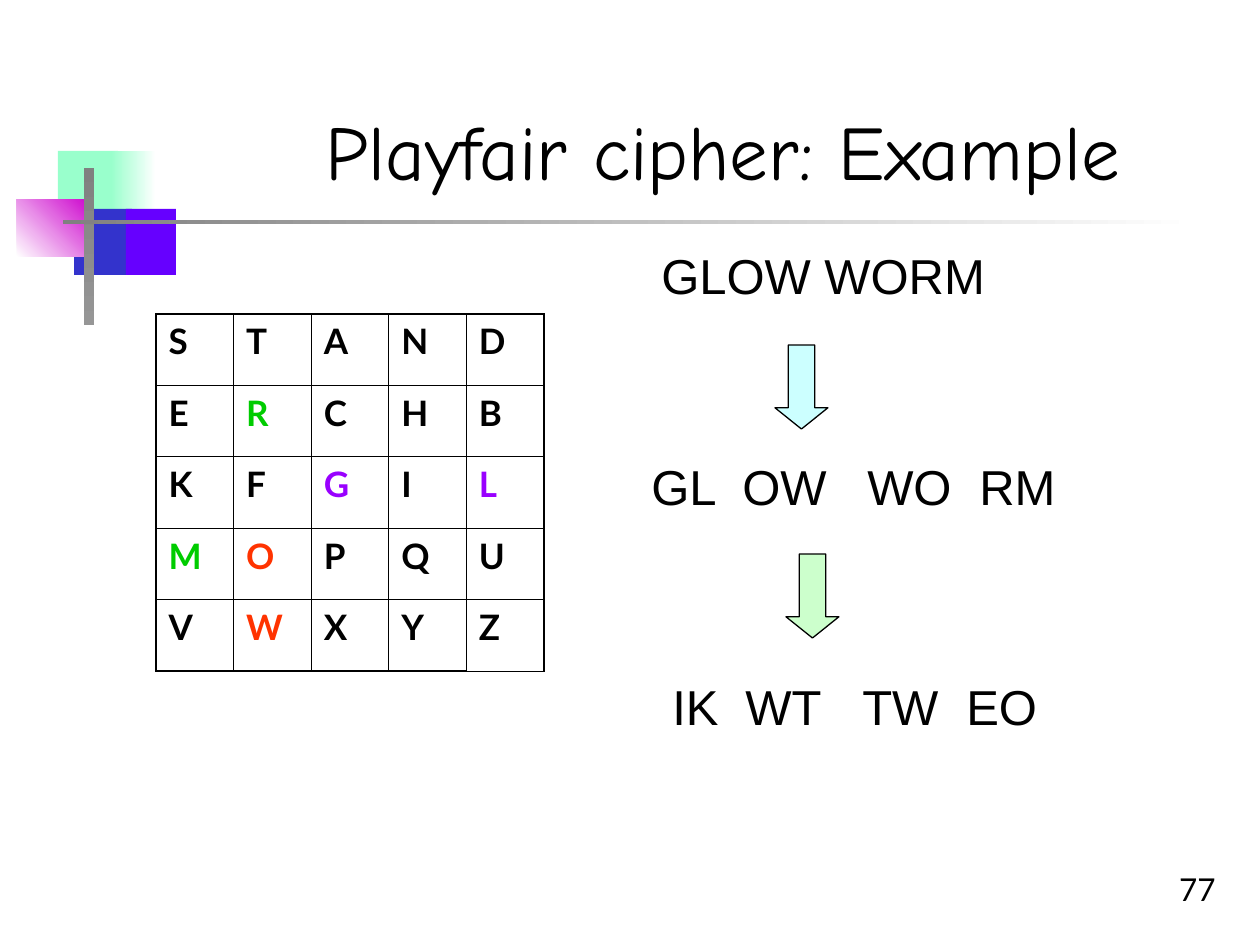
import pptx
import pptx.util
import pptx.dml.color
import pptx.enum.shapes
import pptx.enum.text
import pptx.oxml
import pptx.oxml.ns

SCALE = 914400 / 126  # EMU in one px
THEME = {
    "ink": "000000", "mint": "99FFCC", "white": "FFFFFF", "blue": "3333CC",
    "violet": "6600FF", "pink": "CC00CC", "gray": "808080", "ash": "969696",
    "aqua": "CCFFFF", "lime": "CCFFCC",
    "green": "00CC00", "purple": "9900FF", "red": "FF3300",
    "title": {"name": "Comic Neue", "size": pptx.util.Pt(44)},
    "body": {"name": "Arial", "size": pptx.util.Pt(28)},
    "key": {"name": "Lato", "size": pptx.util.Pt(20), "bold": True},
    "page": {"name": "Lato", "size": pptx.util.Pt(18)},
}
RGB = pptx.dml.color.RGBColor.from_string
ALIGN = pptx.enum.text.PP_ALIGN
ANCHOR = pptx.enum.text.MSO_ANCHOR
KIND = pptx.enum.shapes.MSO_SHAPE


def emu(*sizes):
    return [round(size * SCALE) for size in sizes]


def style(para, look, color="ink"):
    for name, value in THEME[look].items():
        setattr(para.font, name, value)
    para.font.color.rgb = RGB(THEME[color])


deck = pptx.Presentation()
deck.slide_width, deck.slide_height = emu(1260, 945)
slide = deck.slides.add_slide(deck.slide_layouts[6])
shapes = slide.shapes

# Corner ornament and rule: box, gradient ends, counter-clockwise angle
for box, tones, angle in [
    ((58, 151, 60, 66), ["mint"], 0),
    ((111, 151, 45, 66), ["mint", "white"], 0),
    ((74, 209, 58, 66), ["blue"], 0),
    ((126, 209, 50, 66), ["violet"], 0),
    ((17, 199, 77, 58), ["white", "pink"], 45),
    ((84, 168, 10, 157), ["gray", "ash"], 270),
    ((63, 220, 1134, 4), ["gray", "white"], 0),
]:
    block = shapes.add_shape(KIND.RECTANGLE, *emu(*box))
    block.shadow.inherit = False
    block.line.fill.background()
    if len(tones) == 1:
        block.fill.solid()
        block.fill.fore_color.rgb = RGB(THEME[tones[0]])
    else:
        block.fill.gradient()
        block.fill.gradient_angle = angle
        for stop, tone in zip(block.fill.gradient_stops, tones):
            stop.color.rgb = RGB(THEME[tone])

# Texts: box, wording, look, alignment, anchor, space before, tab stops
for box, words, look, align, anchor, gap, tabs in [
    ((966, 851, 262, 63), "77", "page", ALIGN.RIGHT, ANCHOR.BOTTOM, 0, []),
    ((186, 42, 1074, 160), "Playfair cipher: Example", "title",
     ALIGN.CENTER, ANCHOR.BOTTOM, 0, []),
    ((649, 239, 368, 72), "GLOW WORM", "body", ALIGN.LEFT, ANCHOR.TOP, 17.5, []),
    ((639, 450, 441, 72), "GL\tOW\tWO\tRM", "body",
     ALIGN.LEFT, ANCHOR.TOP, 17.5, [91, 216, 328]),
    ((660, 670, 441, 72), "IK\tWT\tTW\tEO", "body",
     ALIGN.LEFT, ANCHOR.TOP, 17.5, [73, 190, 294]),
]:
    frame = shapes.add_textbox(*emu(*box)).text_frame
    frame.word_wrap = True
    frame.vertical_anchor = anchor
    para = frame.paragraphs[0]
    para.add_run().text = words
    para.alignment = align
    para.space_before = pptx.util.Pt(gap)
    style(para, look)
    if tabs:
        stops = "".join(f'<a:tab pos="{pos}" algn="l"/>' for pos in emu(*tabs))
        tablist = pptx.oxml.parse_xml(
            f'<a:tabLst {pptx.oxml.ns.nsdecls("a")}>{stops}</a:tabLst>')
        para.font._element.addprevious(tablist)

# Key square
KEY = ["STAND", "ERCHB", "KFGIL", "MOPQU", "VWXYZ"]
MARKS = {"R": "green", "M": "green", "G": "purple", "L": "purple",
         "O": "red", "W": "red"}
THIN, THICK = 5715, 13716
last = len(KEY) - 1
table = shapes.add_table(5, 5, *emu(156, 314, 388, 357)).table
table.first_row = table.horz_banding = False
for col in table.columns:
    col.width = emu(388 / 5)[0]
for y, row in enumerate(KEY):
    table.rows[y].height = emu(357 / 5)[0]
    for x, letter in enumerate(row):
        cell = table.cell(y, x)
        cell.text = letter
        para = cell.text_frame.paragraphs[0]
        para.space_before = pptx.util.Pt(5)
        style(para, "key", MARKS.get(letter, "ink"))
        props = cell._tc.get_or_add_tcPr()
        edges = {"L": x == 0, "R": x == last, "T": y == 0,
                 "B": y == last and x < last}
        for side, outer in edges.items():
            props.append(pptx.oxml.parse_xml(
                f'<a:ln{side} {pptx.oxml.ns.nsdecls("a")} w="{THICK if outer else THIN}">'
                f'<a:solidFill><a:srgbClr val="{THEME["ink"]}"/></a:solidFill>'
                f'</a:ln{side}>'))
        cell.fill.background()

# Step arrows
for left, top, tone in [(775, 345, "aqua"), (786, 554, "lime")]:
    arrow = shapes.add_shape(KIND.DOWN_ARROW, *emu(left, top, 53, 84))
    arrow.shadow.inherit = False
    arrow.adjustments[0], arrow.adjustments[1] = 0.5, 0.4
    arrow.fill.solid()
    arrow.fill.fore_color.rgb = RGB(THEME[tone])
    arrow.line.color.rgb = RGB(THEME["ink"])
    arrow.line.width = pptx.util.Pt(0.75)

deck.save("out.pptx")
